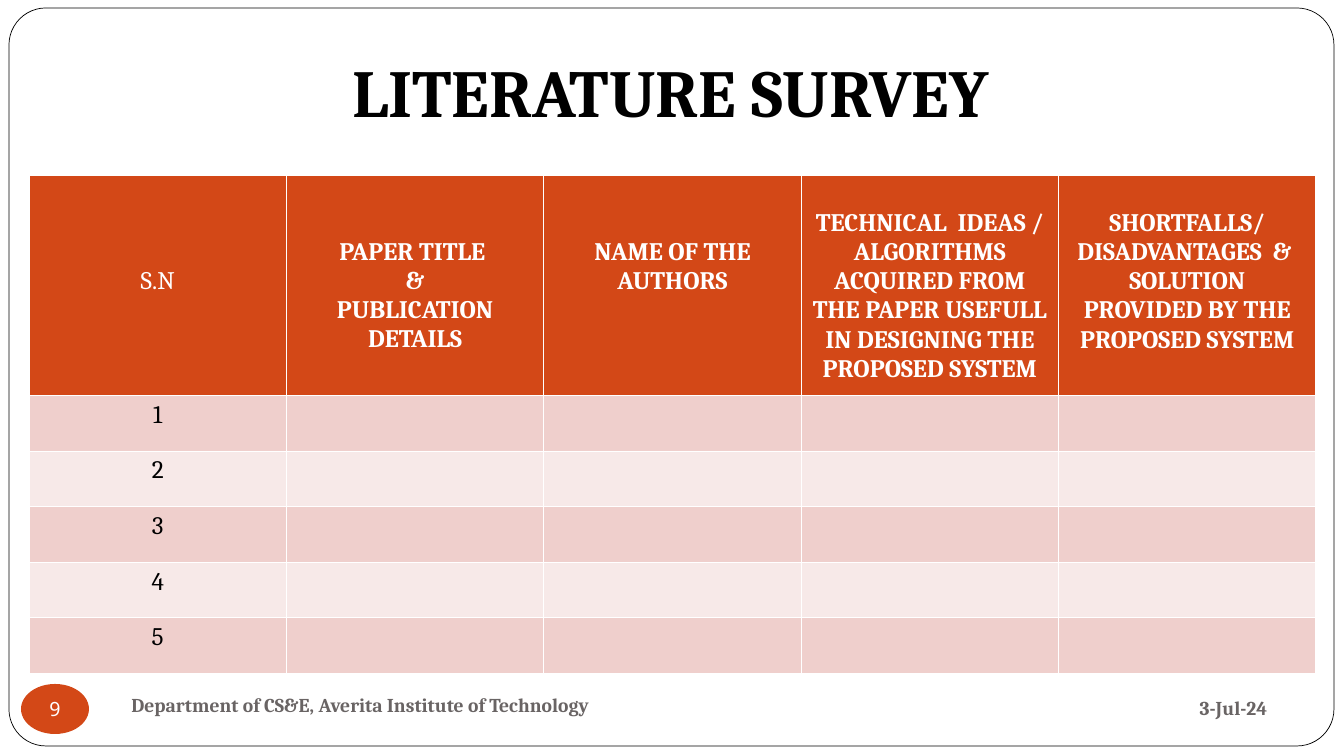
from dataclasses import dataclass

from lxml.etree import SubElement
from pptx import Presentation
from pptx.dml.color import RGBColor
from pptx.enum.shapes import MSO_SHAPE as Shape
from pptx.enum.text import MSO_ANCHOR as Anchor, PP_ALIGN as Align
from pptx.oxml.ns import qn
from pptx.util import Emu, Pt


@dataclass(frozen=True)
class Theme:
    font: str = "Cambria"
    number_font: str = "Noto Sans"
    accent: str = "D34817"
    dark: str = "000000"
    light: str = "FFFFFF"
    muted: str = "696464"
    bands: tuple[str, str] = ("EFCFCC", "F7E9E8")
    title_pt: int = 48
    table_pt: int = 18
    small_pt: int = 14


@dataclass(frozen=True)
class Box:
    x: int
    y: int
    w: int
    h: int

    def emu(self) -> tuple[Emu, Emu, Emu, Emu]:
        return px(self.x), px(self.y), px(self.w), px(self.h)


@dataclass(frozen=True)
class Heading:
    lines: tuple[str, ...]
    skip: int
    bold: bool = True


@dataclass(frozen=True)
class Note:
    text: str
    box: Box


T = Theme()
FRAME = Box(9, 8, 1325, 738)
TITLE = Box(18, 30, 1305, 126)
BADGE = Box(21, 684, 68, 50)
TABLE = Box(29, 175, 1287, 497)
HEADER_H = 219
CELL_PAD = 5
LINE_H = 29
HEADINGS = (
    Heading(("S.N",), 3, False),
    Heading(("PAPER TITLE ", "&", "PUBLICATION DETAILS"), 2),
    Heading(("NAME OF THE AUTHORS",), 2),
    Heading(("TECHNICAL  IDEAS / ALGORITHMS ACQUIRED FROM THE PAPER USEFULL "
             "IN DESIGNING THE PROPOSED SYSTEM",), 1),
    Heading(("SHORTFALLS/DISADVANTAGES  & ",
             "SOLUTION PROVIDED BY THE PROPOSED SYSTEM"), 1),
)
PAPERS = 5
NOTES = (
    Note("3-Jul-24", Box(1173, 682, 121, 52)),
    Note("Department of CS&E, Averita Institute of Technology",
         Box(98, 680, 525, 50)),
)


def px(n: int) -> Emu:
    return Emu(round(n * 914400 / 100.8))


def rgb(color: str) -> RGBColor:
    return RGBColor.from_string(color)


def write(tf, *lines: str, size: int, color: str, bold: bool = False,
          font: str = T.font) -> None:
    for i, line in enumerate(lines):
        p = tf.paragraphs[0] if i == 0 else tf.add_paragraph()
        p.alignment = Align.CENTER
        r = p.add_run()
        r.text = line
        r.font.name, r.font.size, r.font.bold = font, Pt(size), bold
        r.font.color.rgb = rgb(color)


def add_panel(s, kind: Shape, box: Box, fill: str):
    sp = s.shapes.add_shape(kind, *box.emu())
    sp.shadow.inherit = False
    sp.fill.solid()
    sp.fill.fore_color.rgb = rgb(fill)
    sp.line.fill.background()
    return sp


def add_frame(s) -> None:
    sp = add_panel(s, Shape.ROUNDED_RECTANGLE, FRAME, T.light)
    sp.adjustments[0] = 0.05
    sp.line.color.rgb = rgb(T.dark)
    sp.line.width = Pt(0.5)
    s.shapes.title.element.addprevious(sp.element)


def add_title(s) -> None:
    sp = s.shapes.title
    sp.left, sp.top, sp.width, sp.height = TITLE.emu()
    tf = sp.text_frame
    tf.vertical_anchor = Anchor.MIDDLE
    tf.margin_bottom = px(10)
    write(tf, "LITERATURE SURVEY", size=T.title_pt, color=T.dark, bold=True)


def add_note(s, note: Note) -> None:
    tf = s.shapes.add_textbox(*note.box.emu()).text_frame
    tf.word_wrap = True
    tf.vertical_anchor = Anchor.MIDDLE
    write(tf, note.text, size=T.small_pt, color=T.muted, bold=True)


def add_badge(s) -> None:
    tf = add_panel(s, Shape.OVAL, BADGE, T.accent).text_frame
    tf.margin_left = tf.margin_right = tf.margin_top = tf.margin_bottom = 0
    tf.word_wrap = False
    tf.vertical_anchor = Anchor.MIDDLE
    write(tf, "9", size=T.small_pt, color=T.light, font=T.number_font)


def paint_cell(cell, fill: str) -> None:
    tc_pr = cell._tc.get_or_add_tcPr()
    for side in ("lnL", "lnR", "lnT", "lnB"):
        ln = SubElement(tc_pr, qn(f"a:{side}"), w=str(Pt(1)))
        SubElement(SubElement(ln, qn("a:solidFill")), qn("a:srgbClr"), val=T.light)
    cell.fill.solid()
    cell.fill.fore_color.rgb = rgb(fill)


def add_survey(s) -> None:
    table = s.shapes.add_table(PAPERS + 1, len(HEADINGS), *TABLE.emu()).table
    for col in table.columns:
        col.width = px(TABLE.w) // len(HEADINGS)
    for i, row in enumerate(table.rows):
        row.height = px(TABLE.h - HEADER_H) // PAPERS if i else px(HEADER_H)
        for cell in row.cells:
            paint_cell(cell, T.bands[(i - 1) % 2] if i else T.accent)
        if i:
            write(row.cells[0].text_frame, str(i), size=T.table_pt, color=T.dark)
    for cell, heading in zip(table.rows[0].cells, HEADINGS):
        cell.margin_top = px(CELL_PAD + heading.skip * LINE_H)
        write(cell.text_frame, *heading.lines, size=T.table_pt, color=T.light,
              bold=heading.bold)


def main() -> None:
    prs = Presentation()
    prs.slide_width, prs.slide_height = px(1344), px(756)
    s = prs.slides.add_slide(prs.slide_layouts[5])
    add_frame(s)
    add_title(s)
    for note in NOTES:
        add_note(s, note)
    add_badge(s)
    add_survey(s)
    prs.save("out.pptx")


if __name__ == "__main__":
    main()
